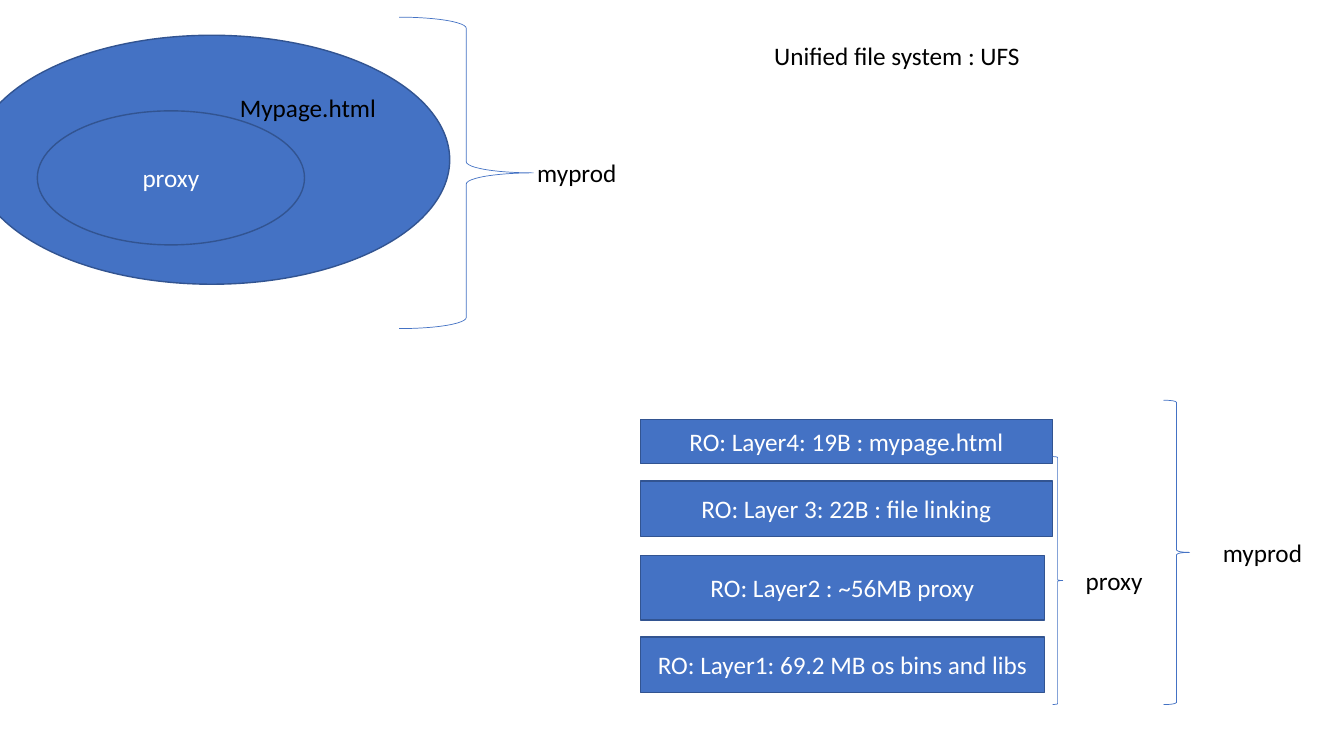
"""Build the slide on image layers in a unified file system."""
from pptx import Presentation
from pptx import util as u
from pptx.dml.color import RGBColor
from pptx.enum import shapes, text

COLORS = {"fill": "4472C4", "edge": "325491", "light": "FFFFFF", "dark": "000000"}
MSO = shapes.MSO_SHAPE

prs = Presentation()
prs.slide_width, prs.slide_height = u.Inches(13.33), u.Inches(7.5)
s = prs.slides.add_slide(prs.slide_layouts[6])


def add_outline(kind, box, edge, width):
    sp = s.shapes.add_shape(kind, *map(u.Inches, box))
    sp.shadow.inherit = False
    sp.fill.background()
    sp.line.color.rgb = RGBColor.from_string(COLORS[edge])
    sp.line.width = u.Pt(width)
    return sp


def write(sp, words, color):
    p = sp.text_frame.paragraphs[0]
    p.text = words
    p.font.name, p.font.size = "Calibri", u.Pt(18)
    p.font.color.rgb = RGBColor.from_string(COLORS[color])
    return p


layer_left = 6.35
filled = [
    (MSO.OVAL, (-0.26, 0.35, 4.72, 2.47), ""),
    (MSO.OVAL, (0.37, 1.1, 2.65, 1.33), "proxy"),
]
layers = [
    (6.32, 4.01, 0.55, "RO: Layer1: 69.2 MB os bins and libs"),
    (5.51, 4.01, 0.64, "RO: Layer2 : ~56MB proxy"),
    (4.77, 4.09, 0.55, "RO: Layer 3: 22B : file linking"),
    (4.16, 4.09, 0.44, "RO: Layer4: 19B : mypage.html"),
]
filled += [(MSO.RECTANGLE, (layer_left, y, w, h), words) for y, w, h, words in layers]

for kind, box, words in filled:
    sp = add_outline(kind, box, "edge", 1)
    sp.fill.solid()
    sp.fill.fore_color.rgb = RGBColor.from_string(COLORS["fill"])
    if words:
        sp.text_frame.vertical_anchor = text.MSO_ANCHOR.MIDDLE
        write(sp, words, "light").alignment = text.PP_ALIGN.CENTER

braces = [(3.96, 0.17, 1.33, 3.09), (10.44, 4.53, 0.1, 2.46), (11.54, 3.97, 0.26, 3.02)]
for box in braces:
    add_outline(MSO.RIGHT_BRACE, box, "fill", 0.5)

labels = [
    (2.28, 0.87, 1.68, True, "Mypage.html"),
    (5.23, 1.51, 1, False, "myprod"),
    (10.67, 5.56, 0.85, False, "proxy"),
    (12.03, 5.28, 1, False, "myprod"),
    (7.58, 0.35, 2.9, True, "Unified file system : UFS"),
]
for x, y, w, wrap, words in labels:
    sp = s.shapes.add_textbox(*map(u.Inches, (x, y, w, 0.4)))
    tf = sp.text_frame
    tf.word_wrap = wrap
    tf.auto_size = text.MSO_AUTO_SIZE.SHAPE_TO_FIT_TEXT
    write(sp, words, "dark")

prs.save("out.pptx")
